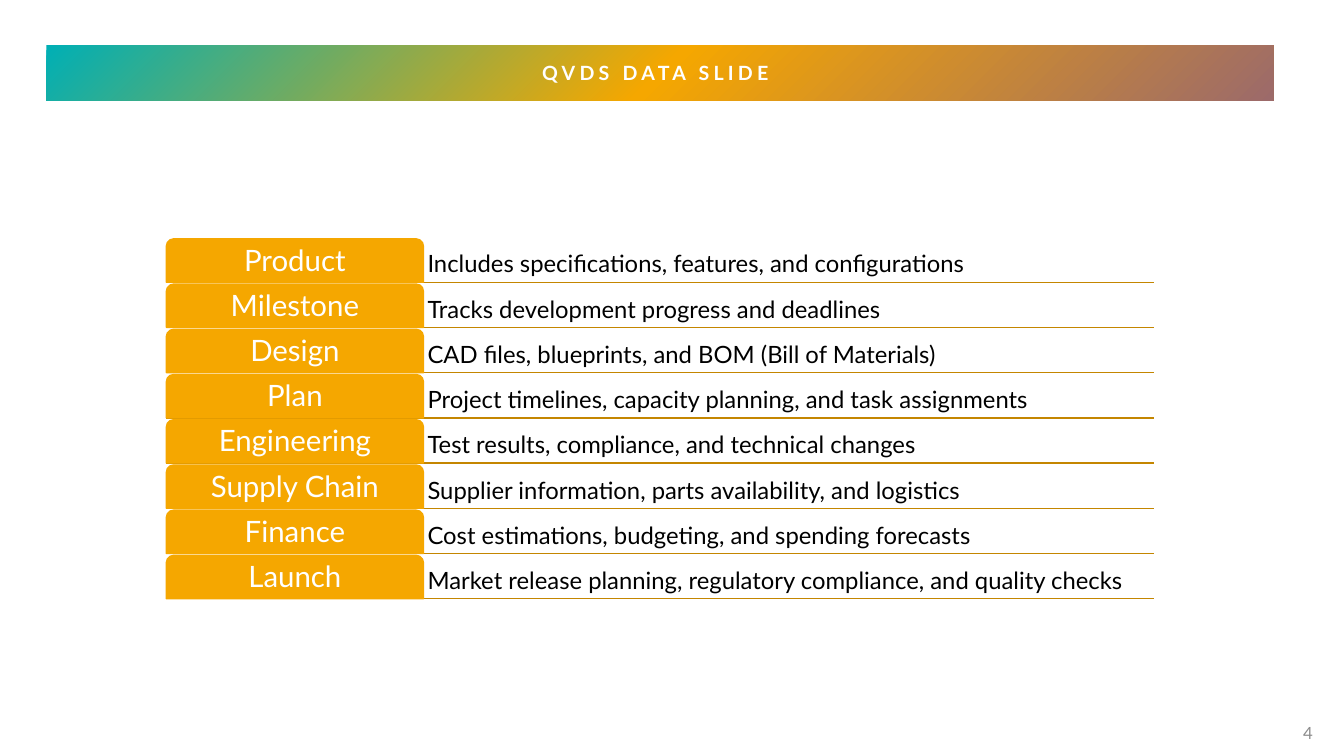
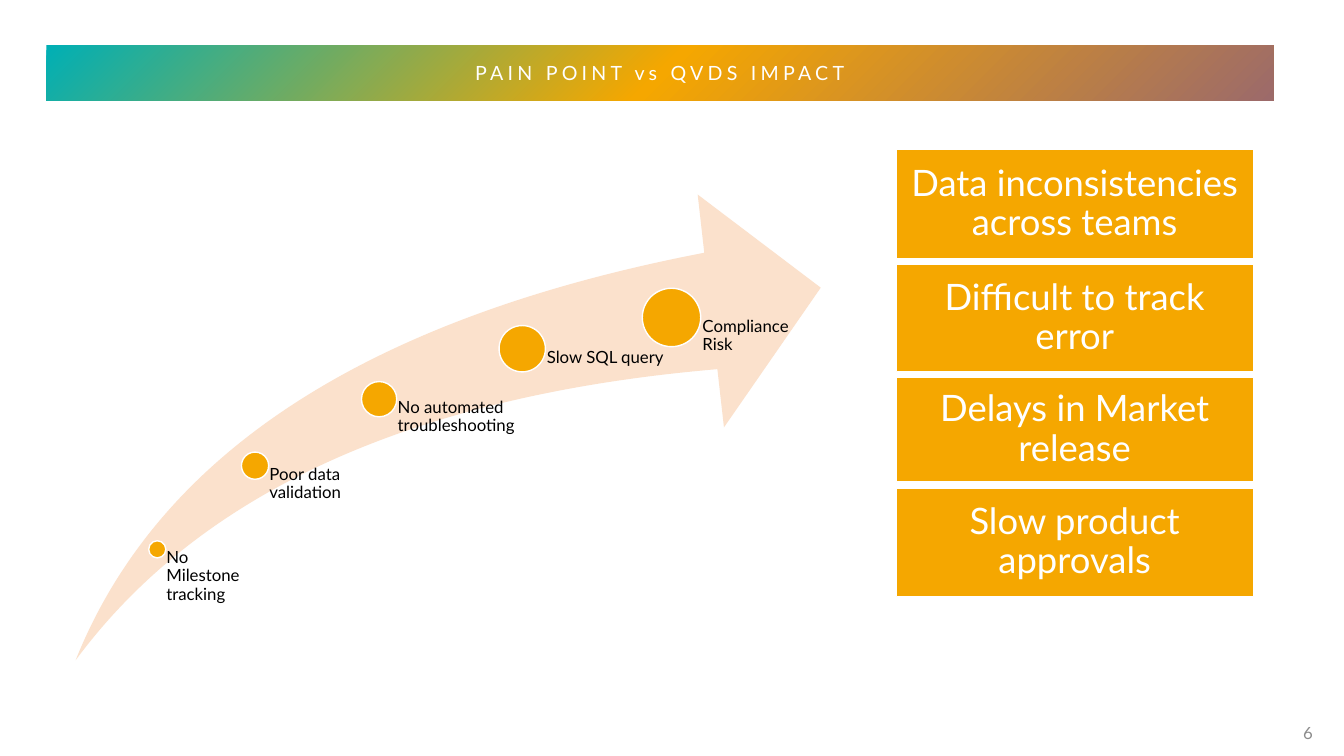
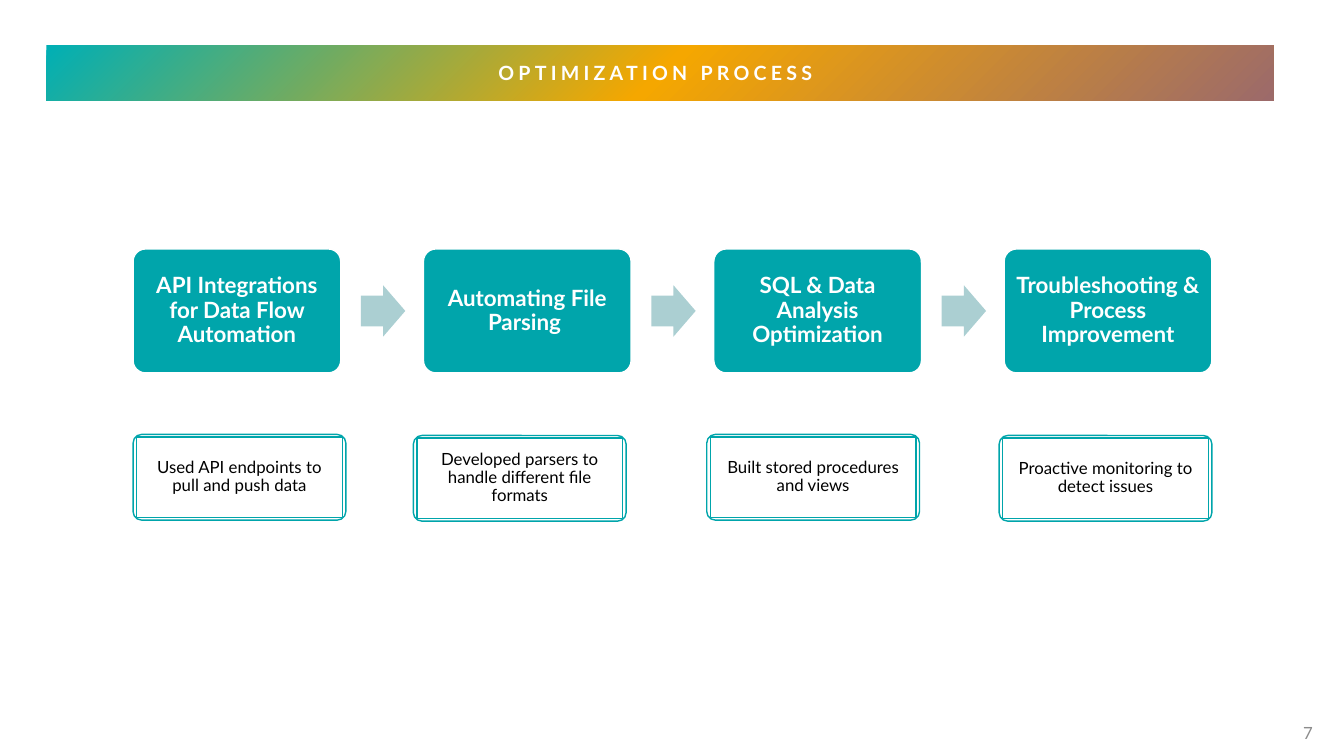
from copy import deepcopy

from lxml import etree
from pptx import Presentation
from pptx import util as u
from pptx.dml.color import RGBColor
from pptx.enum import shapes, text
from pptx.oxml.ns import qn

PX = 9144  # 100 px to the inch
FONT = "Lato"
WHITE = RGBColor(0xFF, 0xFF, 0xFF)
BLACK = RGBColor(0x00, 0x00, 0x00)
GREY = RGBColor(0x8C, 0x8C, 0x8C)
ORANGE = RGBColor(0xF5, 0xA7, 0x00)
OCHRE = RGBColor(0xC4, 0x86, 0x00)
PEACH = RGBColor(0xFB, 0xE1, 0xCC)
TEAL = RGBColor(0x00, 0xA5, 0xAB)
PALE_TEAL = RGBColor(0xAB, 0xCF, 0xD2)
BAND_STOPS = [
    (0, RGBColor(0x00, 0xAF, 0xB5)),
    (0.5, ORANGE),
    (1, RGBColor(0x9C, 0x6A, 0x6A)),
]

LEFT, CENTER, RIGHT = text.PP_ALIGN.LEFT, text.PP_ALIGN.CENTER, text.PP_ALIGN.RIGHT
TOP, MIDDLE, BOTTOM = text.MSO_ANCHOR.TOP, text.MSO_ANCHOR.MIDDLE, text.MSO_ANCHOR.BOTTOM
KIND = shapes.MSO_SHAPE

DATA_AREAS = [
    ("Product", "Includes specifications, features, and configurations"),
    ("Milestone", "Tracks development progress and deadlines"),
    ("Design", "CAD files, blueprints, and BOM (Bill of Materials)"),
    ("Plan", "Project timelines, capacity planning, and task assignments"),
    ("Engineering", "Test results, compliance, and technical changes"),
    ("Supply Chain", "Supplier information, parts availability, and logistics"),
    ("Finance", "Cost estimations, budgeting, and spending forecasts"),
    ("Launch", "Market release planning, regulatory compliance, and quality checks"),
]

# label, centre x, centre y, dot diameter, label width
PAIN_POINTS = [
    ("No Milestone tracking", 156, 545, 17, 97),
    ("Poor data validation", 253, 462, 27, 123),
    ("No automated troubleshooting", 376, 396, 35, 143),
    ("Slow SQL query", 518, 346, 46, 148),
    ("Compliance Risk", 666, 315, 58, 148),
]

# impact, box height
IMPACTS = [
    ("Data inconsistencies across teams", 109),
    ("Difficult to track error", 106),
    ("Delays in Market release", 104),
    ("Slow product approvals", 108),
]

# step, detail, detail left, detail top
STEPS = [
    ("API Integrations for Data Flow Automation",
     "Used API endpoints to pull and push data", 132, 431),
    ("Automating File Parsing ",
     "Developed parsers to handle different file formats", 410, 432),
    ("SQL & Data Analysis Optimization",
     "Built stored procedures and views", 701, 431),
    ("Troubleshooting & Process Improvement",
     "Proactive monitoring to detect issues", 991, 432),
]


def px(*lengths):
    return [u.Emu(round(length * PX)) for length in lengths]


def write(shape, words, size, color, align=CENTER, anchor=MIDDLE,
          insets=(10, 5, 10, 5), bold=False, spacing=0.9):
    frame = shape.text_frame
    frame.text = words
    frame.word_wrap = True
    frame.auto_size = text.MSO_AUTO_SIZE.NONE
    frame.vertical_anchor = anchor
    (frame.margin_left, frame.margin_top,
     frame.margin_right, frame.margin_bottom) = px(*insets)
    paragraph = frame.paragraphs[0]
    paragraph.alignment = align
    paragraph.line_spacing = spacing
    font = paragraph.runs[0].font
    font.name, font.size, font.bold = FONT, u.Pt(size), bold
    font.color.rgb = color


def add_box(slide, kind, box, fill, line=None, adjustments=()):
    shape = slide.shapes.add_shape(kind, *px(*box))
    shape.shadow.inherit = False
    shape.fill.solid()
    shape.fill.fore_color.rgb = fill
    if line is None:
        shape.line.fill.background()
    else:
        shape.line.color.rgb = line
        shape.line.width = u.Pt(1)
    for index, value in enumerate(adjustments):
        shape.adjustments[index] = value
    return shape


def add_label(slide, box, words, size, color, **style):
    write(slide.shapes.add_textbox(*px(*box)), words, size, color, **style)


def add_rule(slide, left, right, y):
    rule = slide.shapes.add_connector(
        shapes.MSO_CONNECTOR.STRAIGHT, *px(left, y, right, y))
    rule.line.color.rgb = OCHRE
    rule.line.width = u.Pt(1)
    etree.SubElement(rule._element.spPr, qn("a:effectLst"))


def add_titled_slide(deck, title, number, bold=True):
    slide = deck.slides.add_slide(deck.slide_layouts[5])
    band = slide.shapes.title
    band.left, band.top, band.width, band.height = px(46, 45, 1217, 55)
    band.fill.gradient()
    band.fill.gradient_angle = 315
    first_stop = band.fill.gradient_stops[0]._gs
    first_stop.addnext(deepcopy(first_stop))
    for stop, (position, color) in zip(band.fill.gradient_stops, BAND_STOPS):
        stop.position = position
        stop.color.rgb = color
    write(band, title, 14, WHITE, bold=bold, spacing=1)
    run = band.text_frame.paragraphs[0].runs[0]
    run._r.get_or_add_rPr().set("spc", "300")
    add_label(slide, (1263, 707, 49, 40), str(number), 12, GREY,
              align=RIGHT, spacing=1)
    return slide


def build_data_slide(deck):
    slide = add_titled_slide(deck, "QVDS DATA SLIDE ", 4)
    left, right, tab_width, height = 165, 1145, 255, 43
    first_top, last_top = 237, 551
    pitch = (last_top - first_top) / (len(DATA_AREAS) - 1)
    for row, (area, description) in enumerate(DATA_AREAS):
        top = first_top + row * pitch
        add_rule(slide, left, right, top + height)
        add_label(slide, (left + tab_width, top, right - left - tab_width, height),
                  description, 17, BLACK, align=LEFT, anchor=BOTTOM, insets=[4] * 4)
        tab = add_box(slide, KIND.ROUND_2_SAME_RECTANGLE,
                      (left, top, tab_width, height), ORANGE, ORANGE, (0.167, 0))
        write(tab, area, 21, WHITE, insets=[4] * 4)


def build_impact_slide(deck):
    slide = add_titled_slide(deck, "PAIN POINT vs QVDS IMPACT", 6, bold=False)
    swoosh_top, swoosh_height = 193, 462
    add_box(slide, KIND.SWOOSH_ARROW, (75, swoosh_top, 739, swoosh_height),
            PEACH, adjustments=(0.25, 0.25))
    for label, x, y, diameter, width in PAIN_POINTS:
        radius = diameter / 2
        add_box(slide, KIND.OVAL, (x - radius, y - radius, diameter, diameter),
                ORANGE, WHITE)
        add_label(slide, (x, y, width, swoosh_top + swoosh_height - y), label,
                  12, BLACK, align=LEFT, anchor=TOP,
                  insets=(0.53 * diameter, 0, 0, 0))

    top, bottom = 148, 592
    free_height = bottom - top - sum(height for _, height in IMPACTS)
    gap = free_height / (len(IMPACTS) - 1)
    for impact, height in IMPACTS:
        card = add_box(slide, KIND.RECTANGLE, (889, top, 354, height), ORANGE, WHITE)
        write(card, impact, 26, WHITE, insets=[7] * 4)
        top += height + gap


def build_process_slide(deck):
    slide = add_titled_slide(deck, "OPTIMIZATION PROCESS ", 7)
    first_left, pitch, arrow_offset = 132, 288, 226
    frame_width, frame_height, panel_width, panel_height = 211, 85, 204, 80
    for column, (step, detail, detail_left, detail_top) in enumerate(STEPS):
        left = first_left + column * pitch
        card = add_box(slide, KIND.ROUNDED_RECTANGLE, (left, 247, 206, 123),
                       TEAL, WHITE, (0.1,))
        write(card, step, 16, WHITE, insets=[7] * 4, bold=True)
        if column < len(STEPS) - 1:
            add_box(slide, KIND.RIGHT_ARROW, (left + arrow_offset, 283, 44, 51),
                    PALE_TEAL, adjustments=(0.6, 0.5))
        add_box(slide, KIND.ROUNDED_RECTANGLE,
                (detail_left, detail_top, frame_width, frame_height),
                WHITE, TEAL, (0.1,))
        panel = add_box(slide, KIND.RECTANGLE,
                        (detail_left + (frame_width - panel_width) / 2,
                         detail_top + (frame_height - panel_height) / 2,
                         panel_width, panel_height), WHITE, TEAL)
        write(panel, detail, 12, BLACK, insets=[7] * 4)


def main():
    deck = Presentation()
    deck.slide_width, deck.slide_height = u.Inches(13.33), u.Inches(7.5)
    build_data_slide(deck)
    build_impact_slide(deck)
    build_process_slide(deck)
    deck.save("out.pptx")


if __name__ == "__main__":
    main()
